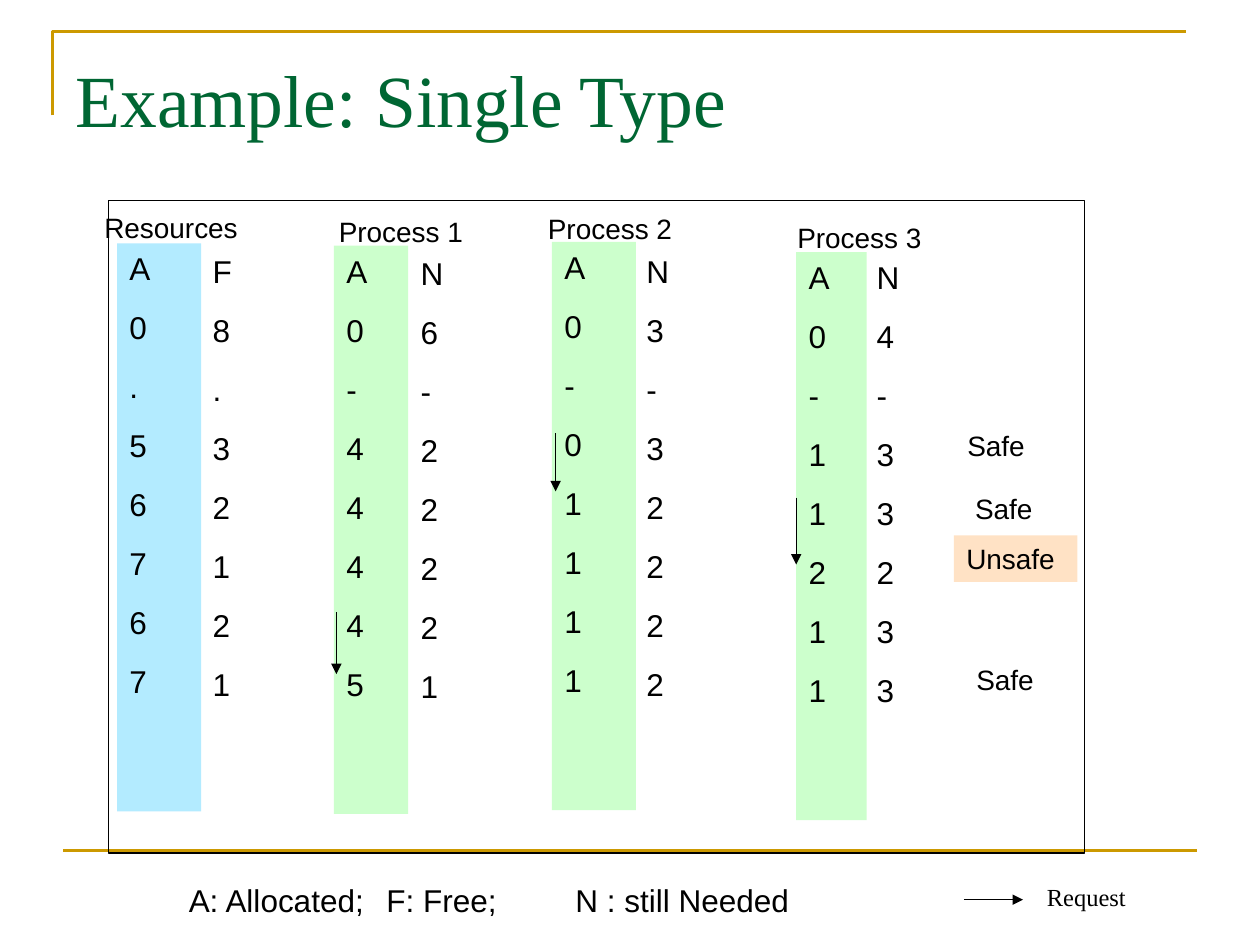
from dataclasses import dataclass

from lxml import etree
from pptx import Presentation
from pptx.dml.color import RGBColor
from pptx.enum.shapes import MSO_CONNECTOR, MSO_SHAPE
from pptx.enum.text import MSO_ANCHOR, MSO_AUTO_SIZE, PP_ALIGN
from pptx.oxml.ns import qn
from pptx.util import Pt


@dataclass(frozen=True)
class Theme:
    title: str = "006633"
    rule: str = "CC9900"
    ink: str = "000000"
    resources: str = "B3EBFF"
    process: str = "CCFFCC"
    unsafe: str = "FFCC99"
    sans: str = "Arial"
    serif: str = "Times New Roman"
    title_size: float = 42
    body_size: float = 18
    label_size: float = 16
    small_size: float = 14
    row_gap: float = 12.1


@dataclass(frozen=True)
class Box:
    left: float
    top: float
    width: float
    height: float

    def inner(self, dx, dy, width, height):
        return Box(self.left + dx, self.top + dy, width, height)

    def points(self):
        return Pt(self.left), Pt(self.top), Pt(self.width), Pt(self.height)


THEME = Theme()
COLUMN_HEIGHT = 324.7
LABEL_HEIGHT = 26.6


def color(value):
    return RGBColor.from_string(value)


def write(frame, lines, size, font=THEME.sans, ink=THEME.ink):
    """Fill a text frame with top-left text, one paragraph per line."""
    frame.word_wrap = True
    frame.auto_size = MSO_AUTO_SIZE.NONE
    frame.vertical_anchor = MSO_ANCHOR.TOP
    frame.text = "\n".join(lines)
    for index, paragraph in enumerate(frame.paragraphs):
        paragraph.alignment = PP_ALIGN.LEFT
        paragraph.space_before = Pt(THEME.row_gap if index else 0)
        for run in paragraph.runs:
            run.font.name = font
            run.font.size = Pt(size)
            run.font.color.rgb = color(ink)


def text(slide, box, lines, size, font=THEME.sans):
    write(slide.shapes.add_textbox(*box.points()).text_frame, lines, size, font)


def panel(slide, box, fill=None, line=None):
    shape = slide.shapes.add_shape(MSO_SHAPE.RECTANGLE, *box.points())
    shape.shadow.inherit = False
    if fill:
        shape.fill.solid()
        shape.fill.fore_color.rgb = color(fill)
    else:
        shape.fill.background()
    if line:
        shape.line.color.rgb = color(line)
        shape.line.width = Pt(0.75)
    else:
        shape.line.fill.background()
    return shape


def line(slide, x1, y1, x2, y2, ink=THEME.ink, width=0.75, arrow=True):
    connector = slide.shapes.add_connector(
        MSO_CONNECTOR.STRAIGHT, Pt(x1), Pt(y1), Pt(x2), Pt(y2))
    connector.line.color.rgb = color(ink)
    connector.line.width = Pt(width)
    properties = connector.element.spPr
    if arrow:
        etree.SubElement(properties.find(qn("a:ln")), qn("a:tailEnd"), type="triangle")
    etree.SubElement(properties, qn("a:effectLst"))


def heading(slide, box):
    """Title with the corner rule above and the rule at the foot of the slide."""
    title = slide.shapes.title
    title.left, title.top, title.width, title.height = box.points()
    write(title.text_frame, ["Example: Single Type"],
          THEME.title_size, THEME.serif, THEME.title)
    title.text_frame.margin_top = Pt(9.5)

    left, top = box.left - 6, box.top - 3.6
    outline = slide.shapes.build_freeform(Pt(left), Pt(top + 48))
    outline.add_line_segments(
        [(Pt(left), Pt(top)), (Pt(left + box.width), Pt(top))], close=False)
    corner = outline.convert_to_shape()
    corner.shadow.inherit = False
    corner.fill.background()
    corner.line.color.rgb = color(THEME.rule)
    corner.line.width = Pt(1.5)
    line(slide, box.left, 486, box.left + box.width, 486, THEME.rule, 1.5, arrow=False)


def column_pair(slide, box, name, fill, held, other, other_offset, name_offset, request=None):
    """Filled column, plain column beside it, name above and request arrow."""
    write(panel(slide, box, fill).text_frame, held, THEME.body_size)
    text(slide, box.inner(*other_offset, 40, COLUMN_HEIGHT), other, THEME.body_size)
    text(slide, box.inner(*name_offset, 96, LABEL_HEIGHT), [name], THEME.label_size)
    if request:
        dx, start, end = request
        line(slide, box.left + dx, box.top + start, box.left + dx, box.top + end)


def allocation(slide, box):
    """Framed history of the resources and the three processes."""
    pairs = [
        # left, top, width, then the arguments of column_pair
        (5, 24.5, 48, "Resources", THEME.resources, "A0.56767", "F8.32121",
         (47.5, 1.4), (-14.4, -22.3)),
        (128.9, 25.9, 42.5, "Process 1", THEME.process, "A0-44445", "N6-22221",
         (42.5, 1.4), (-4.3, -21.6), (1.4, 209.5, 244.8)),
        (253.5, 23.7, 48, "Process 2", THEME.process, "A0-01111", "N3-32222",
         (46.8, 2.2), (-9.4, -20.8), (2.1, 109.5, 142.6)),
        (393.1, 29.5, 40.3, "Process 3", THEME.process, "A0-11211", "N4-33233",
         (38.9, 0), (-6.5, -21.6), (0, 140.4, 178.6)),
    ]
    for dx, dy, width, *content in pairs:
        column_pair(slide, box.inner(dx, dy, width, COLUMN_HEIGHT), *content)
    panel(slide, box, line=THEME.ink)

    # Verdicts on the states
    for dx, dy in [(483.8, 126.7), (488.2, 162.7), (488.9, 260.6)]:
        text(slide, box.inner(dx, dy, 54, LABEL_HEIGHT), ["Safe"], THEME.label_size)
    unsafe = panel(slide, box.inner(483.2, 191.5, 70.6, LABEL_HEIGHT), THEME.unsafe)
    write(unsafe.text_frame, ["Unsafe"], THEME.label_size)
    fill_color = unsafe.element.spPr.find(qn("a:solidFill"))[0]
    etree.SubElement(fill_color, qn("a:alpha"), val="56000")


def legend(slide, box):
    text(slide, box.inner(0, 0, 448.6, 28.8),
         ["A: Allocated;\t F: Free;\t\t N : still Needed"], THEME.body_size)
    line(slide, box.left + 450, box.top + 14.4, box.left + 483.8, box.top + 14.4)
    text(slide, box.inner(490.3, 0.7, 64, 28.8), ["Request"],
         THEME.small_size, THEME.serif)


def main():
    presentation = Presentation()
    presentation.slide_width, presentation.slide_height = Pt(720), Pt(540)
    slide = presentation.slides.add_slide(presentation.slide_layouts[5])
    heading(slide, Box(36, 21.6, 648, 90))
    allocation(slide, Box(61.9, 114.5, 558, 373))
    legend(slide, Box(100.8, 499.7, 554.3, 29.5))
    presentation.save("out.pptx")


if __name__ == "__main__":
    main()
